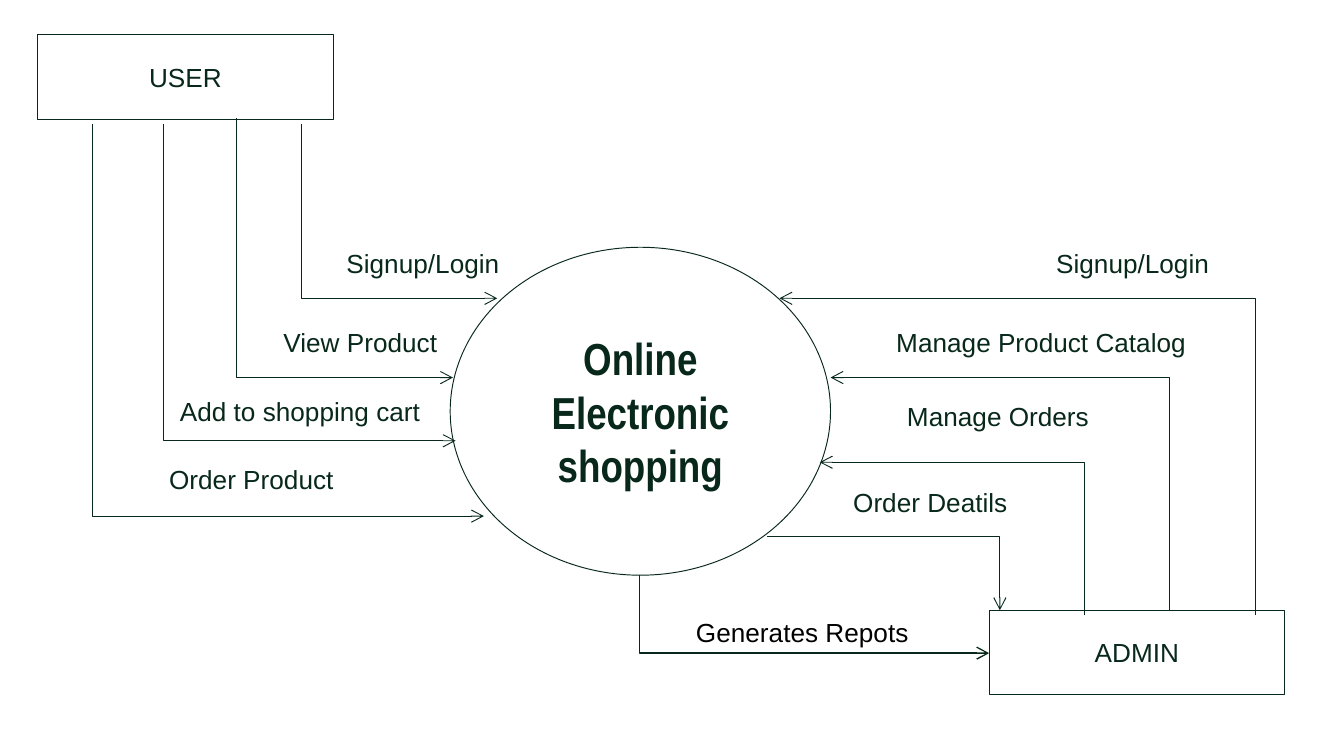
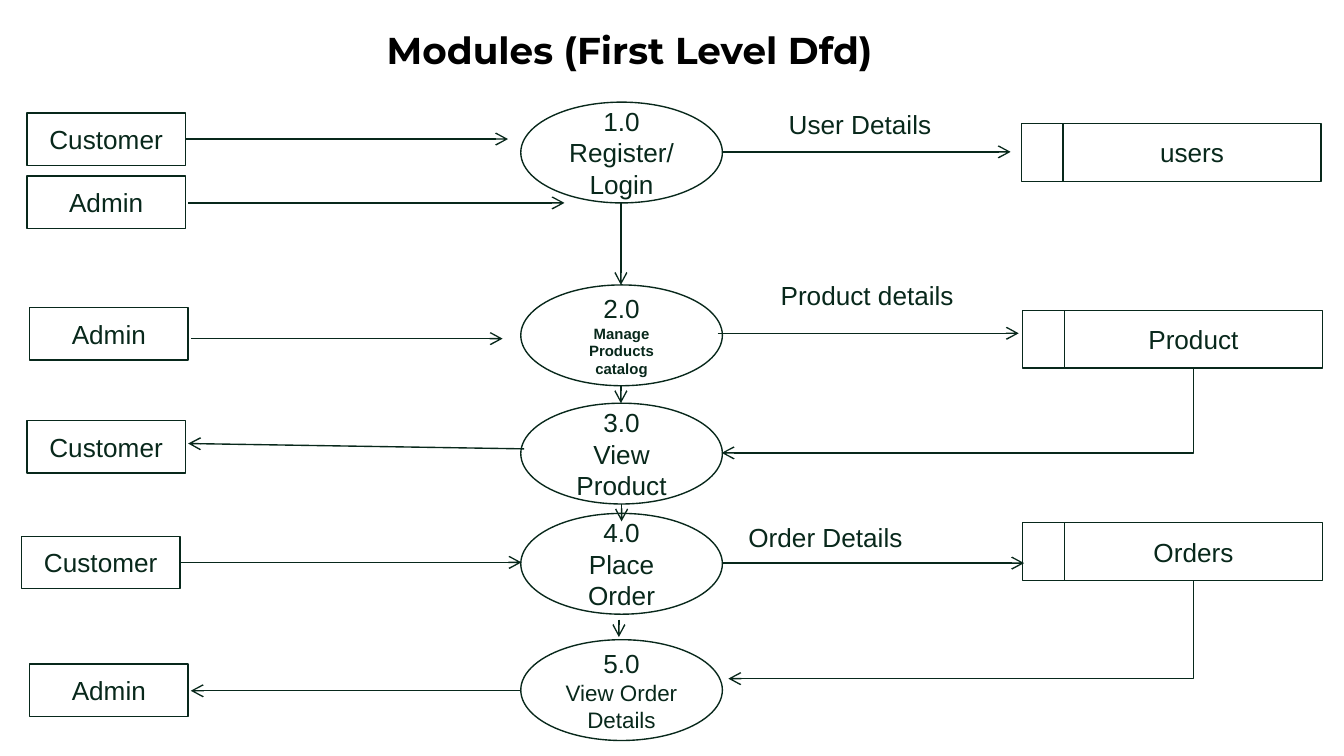
from dataclasses import dataclass

from lxml.etree import SubElement
from pptx import Presentation
from pptx.dml.color import RGBColor
from pptx.enum.shapes import MSO_CONNECTOR as LINK, MSO_SHAPE as SHAPE
from pptx.enum.text import MSO_ANCHOR, MSO_AUTO_SIZE, PP_ALIGN
from pptx.oxml.ns import qn
from pptx.util import Inches, Pt

# 16:9 slide and its grid: every length below counts columns or rows
SLIDE_W = Inches(10)
SLIDE_H = SLIDE_W * 9 // 16
COL = SLIDE_W / 100
ROW = SLIDE_H / 56.25


@dataclass(frozen=True)
class Theme:
    ink: RGBColor = RGBColor(0x08, 0x28, 0x1B)
    black: RGBColor = RGBColor(0, 0, 0)
    white: RGBColor = RGBColor(255, 255, 255)
    body_font: str = "Arial"
    hero_font: str = "Arial Narrow"
    title_font: str = "Montserrat"
    hero: int = 24
    title: int = 20
    body: int = 14
    small: int = 12
    tiny: int = 8
    thin: float = 0.5
    medium: float = 0.75


T = Theme()


@dataclass
class Region:
    """Part of a slide; its drawing methods count from its top left corner."""
    slide: object
    left: float
    top: float
    stroke: float

    def point(self, x, y):
        return round((self.left + x) * COL), round((self.top + y) * ROW)

    def node(self, kind, x, y, w, h, text="", fill=None, **style):
        sp = self.slide.shapes.add_shape(
            kind, *self.point(x, y), round(w * COL), round(h * ROW))
        sp.shadow.inherit = False
        if fill is None:
            sp.fill.background()
        else:
            sp.fill.solid()
            sp.fill.fore_color.rgb = fill
        sp.line.color.rgb = T.ink
        sp.line.width = Pt(self.stroke)
        tf = sp.text_frame
        tf.vertical_anchor = MSO_ANCHOR.MIDDLE
        write(tf, text, align=PP_ALIGN.CENTER, **style)
        return sp

    def label(self, x, y, w, text, h=3.4, **style):
        sp = self.slide.shapes.add_textbox(
            *self.point(x, y), round(w * COL), round(h * ROW))
        sp.text_frame.auto_size = MSO_AUTO_SIZE.SHAPE_TO_FIT_TEXT
        write(sp.text_frame, text, **style)

    def arrow(self, start, end):
        return self.link(LINK.STRAIGHT, *self.point(*start), *self.point(*end))

    def elbow(self, start, end, vertical_first=True):
        """Arrow with a single right-angled turn."""
        (x1, y1), (x2, y2) = self.point(*start), self.point(*end)
        if vertical_first:
            # The preset starts horizontally, so swap its sides and turn it
            cx, cy, dx, dy = (x1 + x2) / 2, (y1 + y2) / 2, x2 - x1, y2 - y1
            x1, x2 = round(cx + dy / 2), round(cx - dy / 2)
            y1, y2 = round(cy - dx / 2), round(cy + dx / 2)
        c = self.link(LINK.ELBOW, x1, y1, x2, y2)
        props = c.element.spPr
        props.find(qn("a:prstGeom")).set("prst", "bentConnector2")
        if vertical_first:
            props.find(qn("a:xfrm")).set("rot", str(270 * 60000))

    def link(self, kind, *ends):
        c = self.slide.shapes.add_connector(kind, *ends)
        c.line.color.rgb = T.ink
        c.line.width = Pt(self.stroke)
        props = c.element.spPr
        SubElement(props.find(qn("a:ln")), qn("a:tailEnd"), type="arrow")
        SubElement(props, qn("a:effectLst"))
        return c


def write(tf, text, align=PP_ALIGN.LEFT, sizes=(T.body,), font=T.body_font,
          color=T.ink, bold=(False,)):
    """Fill a frame; sizes and bold go by paragraph, the last one repeating."""
    tf.word_wrap = True
    tf.text = text
    for i, p in enumerate(tf.paragraphs):
        p.alignment = align
        for r in p.runs:
            r.font.size = Pt(sizes[min(i, len(sizes) - 1)])
            r.font.bold = bold[min(i, len(bold) - 1)]
            r.font.name = font
            r.font.color.rgb = color


# ---- Context diagram ----
def actor(region, x, y, name):
    region.node(SHAPE.RECTANGLE, x, y, 22, 6.3, name, fill=T.white)


def system(region):
    region.node(SHAPE.OVAL, 0, 0, 28.3, 24.4, "Online Electronic shopping",
                fill=T.white, sizes=(T.hero,), font=T.hero_font, bold=(True,))


def report_flow(region):
    region.elbow((14.1, 24.4), (40.1, 30.2))
    region.label(17.3, 27, 18.1, "Generates Repots", color=T.black)


def labelled_flows(region, flows):
    for start, end, (x, y, w), text in flows:
        region.elbow(start, end)
        region.label(x, y, w, text)


def user_side(region):
    actor(region, 0, 0, "USER")
    labelled_flows(region, [
        ((19.6, 6.6), (34.2, 19.6), (22, 15.3, 13.6), "Signup/Login"),
        ((14.8, 6.2), (30.9, 25.5), (17.3, 21.2, 14.2), "View Product"),
        ((9.4, 6.6), (31.1, 30.2), (9.6, 26.3, 20.1), "Add to shopping cart"),
        ((4.1, 6.6), (33.2, 35.8), (8.8, 31.4, 17.5), "Order Product"),
    ])


def admin_side(region):
    actor(region, 16.6, 28.4, "ADMIN")
    labelled_flows(region, [
        ((36.4, 28.8), (1, 5.2), (20.6, 0.9, 18.9), "Signup/Login"),
        ((30, 28.4), (4.8, 11.1), (8.7, 6.8, 23.8), "Manage Product Catalog"),
        ((23.7, 28.8), (4, 17.4), (9.5, 12.3, 16.1), "Manage Orders"),
    ])
    region.elbow((0.1, 22.9), (17.4, 28.4), vertical_first=False)
    region.label(5.5, 18.7, 15, "Order Deatils")


def context_slide(slide):
    system(Region(slide, 33.5, 18.4, T.thin))
    user_side(Region(slide, 2.8, 2.6, T.thin))
    admin_side(Region(slide, 57, 17, T.thin))
    report_flow(Region(slide, 33.5, 18.4, T.medium))


# ---- First level diagram ----
def heading(region):
    region.label(0, 0, 55.1, "Modules (First Level Dfd)", h=4.4,
                 align=PP_ALIGN.CENTER, sizes=(T.title,), bold=(True,),
                 font=T.title_font, color=T.black)


def sources(region):
    # Name, corner, arrow start (None joins the box) and arrow end
    rows = [
        ("Customer", (0, 0), None, (35.8, 1.95)),
        ("Admin", (0, 4.7), (12, 6.7), (40, 6.7)),
        ("Admin", (0.2, 14.5), (12.2, 16.8), (35.4, 16.8)),
        ("Customer", (0, 22.9), (37, 25), (12, 24.6)),
        ("Customer", (-0.4, 31.5), None, (36.8, 33.45)),
        ("Admin", (0.2, 41), (36.8, 43), (12.2, 43)),
    ]
    for name, corner, start, end in rows:
        sp = region.node(SHAPE.RECTANGLE, *corner, 11.8, 3.9, name)
        c = region.arrow(start or corner, end)
        if start is None:
            c.begin_connect(sp, 3)


def processes(region):
    # Top, second line's size and weight, text
    steps = [
        (0, T.body, False, "1.0\nRegister/Login"),
        (13.6, T.tiny, True, "2.0\nManage Products catalog"),
        (22.4, T.body, False, "3.0\nView Product"),
        (30.6, T.body, False, "4.0\nPlace Order"),
        (40, T.small, False, "5.0\nView Order Details"),
    ]
    for top, size, bold, text in steps:
        region.node(SHAPE.OVAL, 0, top, 15, 7.5, text,
                    sizes=(T.body, size), bold=(False, bold))
    # Arrows from step to step
    for x, y, length in [(7.45, 7.5, 6.1), (7.45, 21.1, 1.3),
                         (7.5, 29.9, 1.3), (7.3, 38.5, 1.3)]:
        region.arrow((x, y), (x, y + length))


def stores(region):
    key_w, body_w, h = 3.1, 19.2, 4.3
    # Name, corner, flow (start, end, row), label box and text
    rows = [
        ("users", (22.6, 1.6), (0.3, 21.8, 3.7), (4.3, 0, 19.9),
         "User Details"),
        ("Product", (22.7, 15.5), (0, 22.4, 17.2), (3.7, 12.7, 15.7),
         "Product details"),
        ("Orders", (22.7, 31.3), (0.3, 22.8, 34.3), (1.3, 30.7, 17.3),
         "Order Details"),
    ]
    for name, (x, y), (x1, x2, flow_y), spot, text in rows:
        region.node(SHAPE.RECTANGLE, x, y, key_w, h)
        region.node(SHAPE.RECTANGLE, x + key_w, y, body_w, h, name)
        region.arrow((x1, flow_y), (x2, flow_y))
        region.label(*spot, text)
    # Flows back from the stores to the viewing steps
    region.elbow((35.4, 19.8), (0.3, 26.1))
    region.elbow((35.4, 35.6), (0.8, 42.9))


def modules_slide(slide):
    heading(Region(slide, 19.3, 1.5, T.medium))
    sources(Region(slide, 2, 8.4, T.medium))
    processes(Region(slide, 38.75, 7.6, T.medium))
    stores(Region(slide, 53.4, 7.6, T.medium))


def main():
    prs = Presentation()
    prs.slide_width, prs.slide_height = SLIDE_W, SLIDE_H
    for build in (context_slide, modules_slide):
        build(prs.slides.add_slide(prs.slide_layouts[6]))
    prs.save("out.pptx")


if __name__ == "__main__":
    main()
